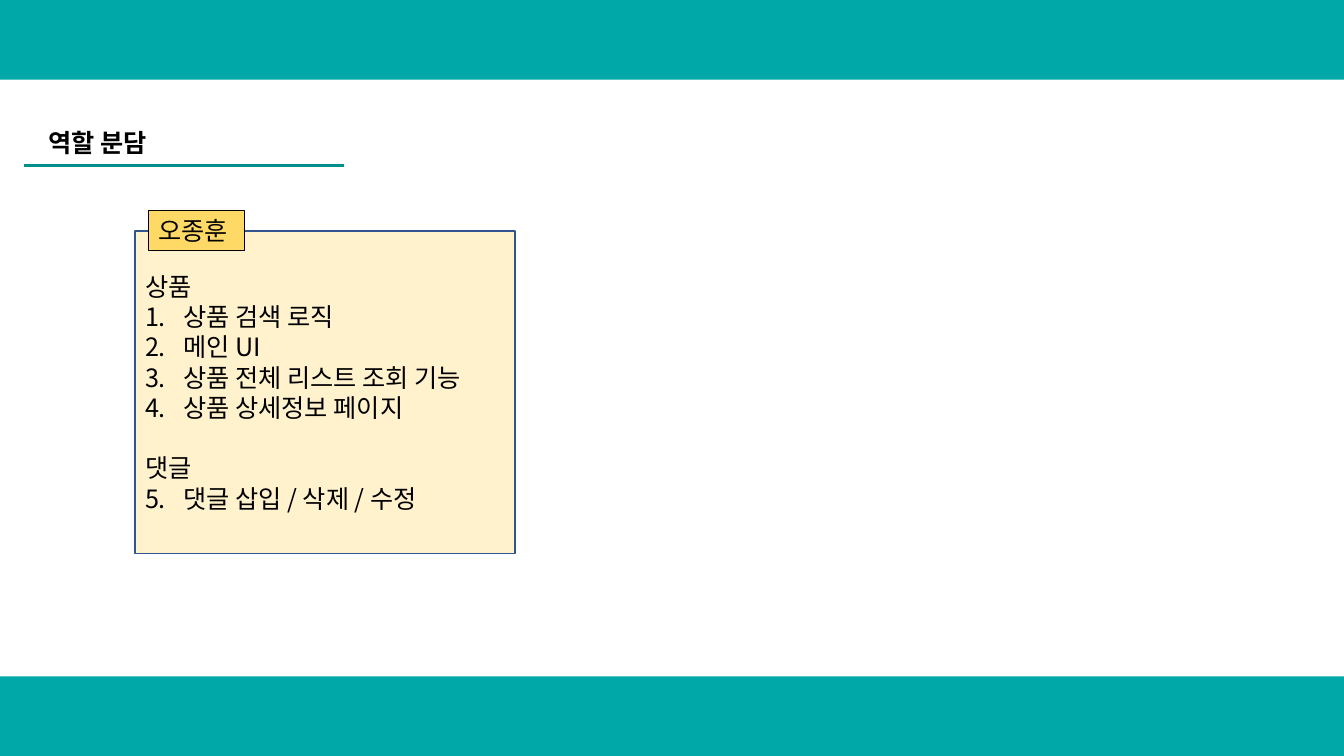
from dataclasses import dataclass

from pptx import Presentation
from pptx.dml.color import RGBColor
from pptx.enum.shapes import MSO_CONNECTOR, MSO_SHAPE
from pptx.enum.text import MSO_ANCHOR, PP_ALIGN
from pptx.oxml.ns import qn
from pptx.util import Inches, Pt
from lxml.etree import SubElement


@dataclass(frozen=True)
class Theme:
    band: str = "00A8A8"
    rule: str = "008F8B"
    card: str = "FFF2CC"
    card_line: str = "325491"
    tag: str = "FFD966"
    text: str = "000000"
    size: int = 18
    title_font: str = "Cabin"
    body_font: str = "Noto Sans CJK KR"


THEME = Theme()
SECTIONS = [
    ("상품", ["상품 검색 로직", "메인 UI", "상품 전체 리스트 조회 기능", "상품 상세정보 페이지"]),
    ("댓글", ["댓글 삽입 / 삭제 / 수정"]),
]


def color(value):
    return RGBColor.from_string(value)


def add_box(page, left, top, width, height, fill, line=None, line_width=1):
    box = page.shapes.add_shape(
        MSO_SHAPE.RECTANGLE, Inches(left), Inches(top), Inches(width), Inches(height))
    box.shadow.inherit = False
    box.fill.solid()
    box.fill.fore_color.rgb = color(fill)
    if line:
        box.line.color.rgb = color(line)
        box.line.width = Pt(line_width)
    else:
        box.line.fill.background()
    return box


def write(para, text, font_name=THEME.body_font, bold=False):
    para.text = text
    para.alignment = PP_ALIGN.LEFT
    font = para.font
    font.name = font_name
    font.size = Pt(THEME.size)
    font.bold = bold
    font.color.rgb = color(THEME.text)
    SubElement(para._p.pPr.find(qn("a:defRPr")), qn("a:ea"), typeface=font_name)


def number(para, start):
    properties = para._p.get_or_add_pPr()
    properties.set("marL", str(Inches(0.38)))
    properties.set("indent", str(-Inches(0.38)))
    bullet = properties.makeelement(
        qn("a:buAutoNum"), {"type": "arabicPeriod", "startAt": str(start)})
    properties.find(qn("a:defRPr")).addprevious(bullet)


def add_title(page, text):
    box = page.shapes.add_textbox(Inches(0.38), Inches(1.16), Inches(9.29), Inches(0.36))
    frame = box.text_frame
    frame.word_wrap = True
    frame.vertical_anchor = MSO_ANCHOR.MIDDLE
    para = frame.paragraphs[0]
    para.line_spacing = 1.5
    para.space_before = Pt(0.2 * THEME.size)
    write(para, text, THEME.title_font, bold=True)


def add_rule(page, left, right, top):
    rule = page.shapes.add_connector(
        MSO_CONNECTOR.STRAIGHT, Inches(left), Inches(top), Inches(right), Inches(top))
    rule.line.color.rgb = color(THEME.rule)
    rule.line.width = Pt(2.25)
    SubElement(rule._element.spPr, qn("a:effectLst"))


def add_card(page, sections):
    frame = add_box(page, 1.34, 2.29, 3.77, 3.2, THEME.card, THEME.card_line).text_frame
    frame.word_wrap = True
    frame.vertical_anchor = MSO_ANCHOR.MIDDLE
    para = frame.paragraphs[0]
    count = 0
    for heading, tasks in sections:
        if count:
            para = frame.add_paragraph()
            para.space_before = Pt(1.2 * THEME.size)
        write(para, heading)
        for task in tasks:
            count += 1
            para = frame.add_paragraph()
            write(para, task)
            number(para, count)


def add_tag(page, name):
    frame = add_box(page, 1.47, 2.09, 0.96, 0.4, THEME.tag, THEME.text, 0.75).text_frame
    frame.word_wrap = False
    frame.vertical_anchor = MSO_ANCHOR.TOP
    write(frame.paragraphs[0], name)


def main():
    deck = Presentation()
    deck.slide_width, deck.slide_height = Inches(13.33), Inches(7.5)
    page = deck.slides.add_slide(deck.slide_layouts[6])
    add_card(page, SECTIONS)
    for top in (6.71, 0):
        add_box(page, 0, top, 13.33, 0.79, THEME.band)
    add_rule(page, 0.24, 3.41, 1.64)
    add_title(page, "역할 분담")
    add_tag(page, "오종훈")
    deck.save("out.pptx")


if __name__ == "__main__":
    main()
